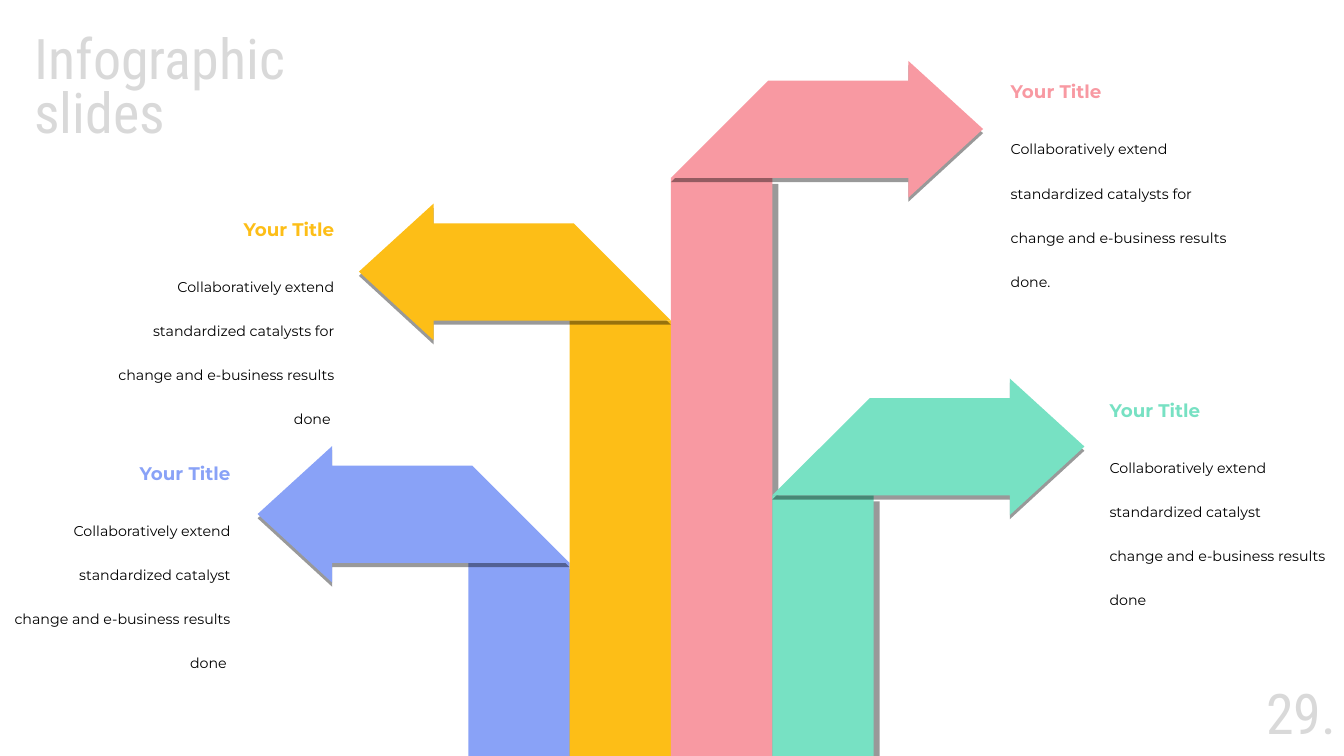
from dataclasses import dataclass

from lxml.etree import SubElement
from pptx import Presentation
from pptx.dml.color import RGBColor
from pptx.enum.shapes import MSO_SHAPE
from pptx.enum.text import MSO_ANCHOR, MSO_AUTO_SIZE, PP_ALIGN
from pptx.oxml.ns import qn
from pptx.util import Inches, Pt


@dataclass(frozen=True)
class Theme:
    """Colours, fonts and type sizes of the slide."""
    blue: str = "89A2F7"
    yellow: str = "FDBE17"
    pink: str = "F899A2"
    teal: str = "77E1C3"
    grey: str = "D9D9D9"
    black: str = "000000"
    display_font: str = "Roboto Condensed"
    text_font: str = "Montserrat"
    display_size: int = 80
    heading_size: int = 45
    body_size: int = 35


@dataclass(frozen=True)
class Signpost:
    """One folded arrow with its column and caption."""
    column: int
    fold_top: float
    direction: int
    color: str
    caption_box: tuple
    caption: str


THEME = Theme()
SLIDE_WIDTH, SLIDE_HEIGHT = 26.66, 15
COLUMN_LEFT, COLUMN_WIDTH = 9.29, 2.01
ARROW_OUTLINE = [(0, 0), (1.93, -1.93), (4.71, -1.93), (4.71, -2.32),
                 (6.19, -0.97), (4.71, 0.39), (4.71, 0)]
SHORT_CAPTION = "Collaboratively extend standardized catalyst\vchange and e-business results done"
LONG_CAPTION = "Collaboratively extend standardized catalysts for change and e-business results done"
SIGNPOSTS = [
    Signpost(3, 9.83, 1, THEME.teal, (21.91, 7.42, 4.92, 4.9), SHORT_CAPTION),
    Signpost(2, 3.53, 1, THEME.pink, (19.95, 1.1, 4.92, 4.02), LONG_CAPTION + "."),
    Signpost(1, 6.36, -1, THEME.yellow, (1.81, 3.83, 4.92, 4.02), LONG_CAPTION + " "),
    Signpost(0, 11.17, -1, THEME.blue, (-0.25, 8.67, 4.92, 4.9), SHORT_CAPTION + " "),
]


def style_shape(shape, color, distance, angle):
    """Fill a shape and give it a hard, translucent shadow."""
    shape.fill.solid()
    shape.fill.fore_color.rgb = RGBColor.from_string(color)
    shape.line.fill.background()
    shape.shadow.inherit = False
    effects = shape._element.spPr.find(qn("a:effectLst"))
    shadow = SubElement(effects, qn("a:outerShdw"), dist=str(Pt(distance)),
                        dir=str(angle * 60000), algn="tl", rotWithShape="0")
    shadow_color = SubElement(shadow, qn("a:srgbClr"), val=THEME.black)
    SubElement(shadow_color, qn("a:alpha"), val="40000")


def style_paragraph(paragraph, font_name, size, color, spacing, bold=False,
                    alignment=PP_ALIGN.LEFT):
    """Set the font, spacing and alignment of a paragraph."""
    paragraph.alignment = alignment
    paragraph.line_spacing = spacing
    paragraph.space_before = Pt(0)
    paragraph.font.name = font_name
    paragraph.font.size = Pt(size)
    paragraph.font.bold = bold
    paragraph.font.color.rgb = RGBColor.from_string(color)


def prepare_frame(shape):
    """Make a text frame wrap, start at the top and grow with its text."""
    frame = shape.text_frame
    frame.word_wrap = True
    frame.vertical_anchor = MSO_ANCHOR.TOP
    frame.auto_size = MSO_AUTO_SIZE.SHAPE_TO_FIT_TEXT
    return frame


def fill_display_text(shape, box, text):
    """Place large grey text in the given box."""
    shape.left, shape.top, shape.width, shape.height = map(Inches, box)
    frame = prepare_frame(shape)
    frame.text = text
    style_paragraph(frame.paragraphs[0], THEME.display_font,
                    THEME.display_size, THEME.grey, 0.8)


def add_column(slide, signpost):
    """Draw the post that runs from the fold to the slide's bottom edge."""
    left = COLUMN_LEFT + signpost.column * COLUMN_WIDTH
    column = slide.shapes.add_shape(
        MSO_SHAPE.RECTANGLE, Inches(left), Inches(signpost.fold_top),
        Inches(COLUMN_WIDTH), Inches(SLIDE_HEIGHT - signpost.fold_top))
    style_shape(column, signpost.color, 12.1, 45)


def add_arrow(slide, signpost):
    """Draw the arrow that folds out from the top of its column."""
    outer_edge = signpost.column + (signpost.direction < 0)
    corner = COLUMN_LEFT + outer_edge * COLUMN_WIDTH
    points = [(Inches(corner + signpost.direction * x), Inches(signpost.fold_top + y))
              for x, y in ARROW_OUTLINE]
    builder = slide.shapes.build_freeform(*points[0])
    builder.add_line_segments(points[1:], close=True)
    style_shape(builder.convert_to_shape(), signpost.color, 6, 90)


def add_caption(slide, signpost):
    """Write the heading and body text beside an arrow tip."""
    frame = prepare_frame(slide.shapes.add_textbox(*map(Inches, signpost.caption_box)))
    alignment = PP_ALIGN.LEFT if signpost.direction > 0 else PP_ALIGN.RIGHT
    heading, body = frame.paragraphs[0], frame.add_paragraph()
    heading.text, body.text = "Your Title", signpost.caption
    style_paragraph(heading, THEME.text_font, THEME.heading_size, signpost.color,
                    1.5, True, alignment)
    style_paragraph(body, THEME.text_font, THEME.body_size, THEME.black,
                    1.5, False, alignment)
    body.space_before = Pt(12)
    for run in heading.runs + body.runs:
        run._r.get_or_add_rPr().set("baseline", "30000")


def main():
    """Build and save the slide."""
    presentation = Presentation()
    presentation.slide_width = Inches(SLIDE_WIDTH)
    presentation.slide_height = Inches(SLIDE_HEIGHT)
    slide = presentation.slides.add_slide(presentation.slide_layouts[5])
    fill_display_text(slide.shapes.title, (0.58, 0.67, 5.64, 3.3), "Infographic\vslides")
    page_number = slide.shapes.add_textbox(0, 0, 0, 0)
    fill_display_text(page_number, (25.02, 13.67, 1.73, 2.24), "29.")
    for signpost in reversed(SIGNPOSTS):
        add_column(slide, signpost)
    for signpost in SIGNPOSTS:
        add_arrow(slide, signpost)
    for signpost in SIGNPOSTS:
        add_caption(slide, signpost)
    presentation.save("out.pptx")


if __name__ == "__main__":
    main()
